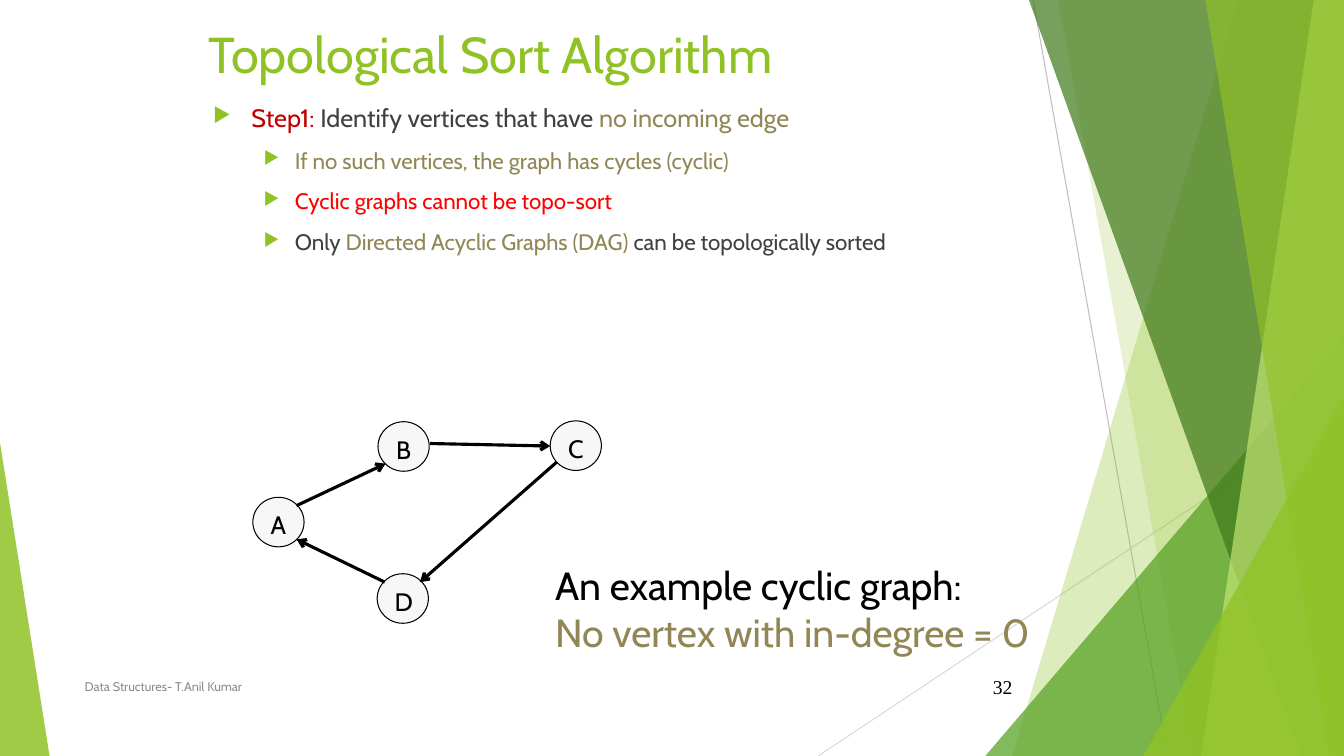
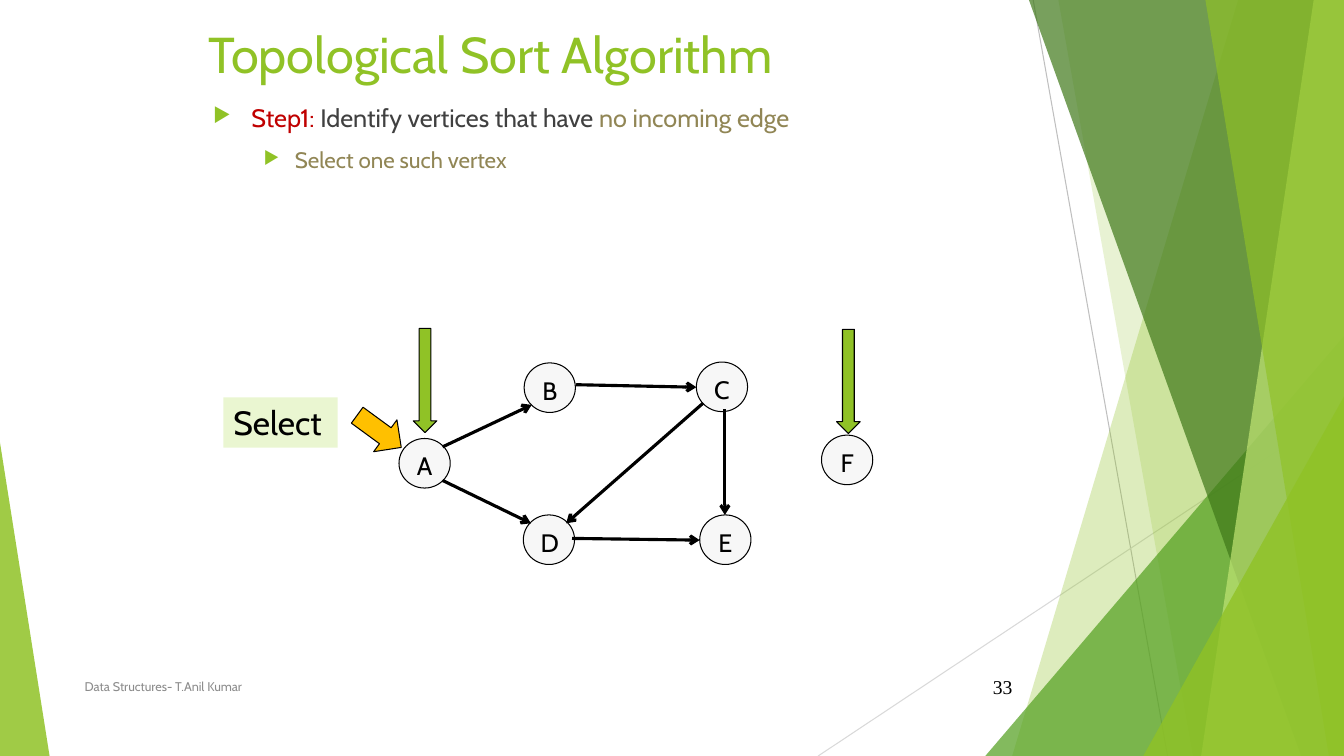
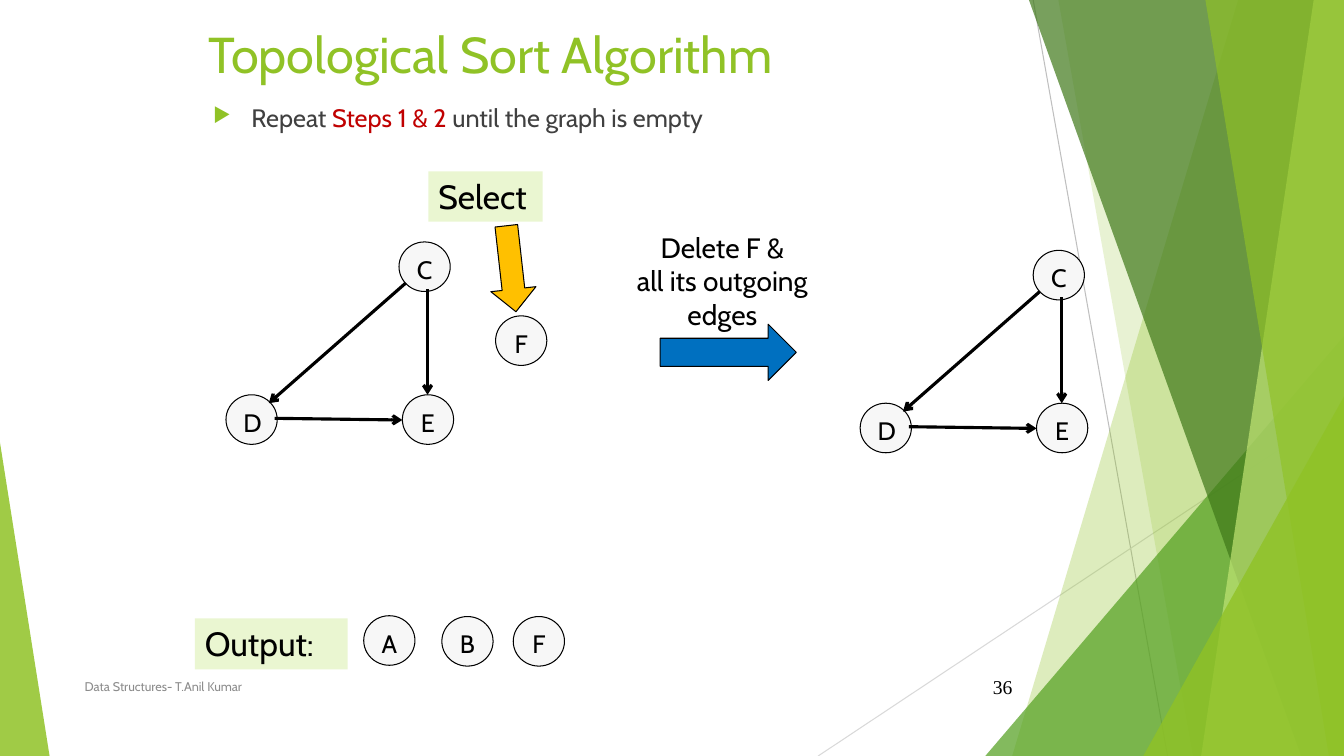
"""Build three slides on topological sorting, on a grid of 16 columns by 9 rows."""
from dataclasses import dataclass
from typing import NamedTuple

from lxml.etree import SubElement
from pptx import Presentation
from pptx.dml.color import RGBColor
from pptx.enum.shapes import MSO_CONNECTOR, MSO_SHAPE as Preset
from pptx.enum.text import MSO_ANCHOR as Anchor, MSO_AUTO_SIZE as AutoSize, PP_ALIGN as Align
from pptx.oxml.ns import qn
from pptx.util import Emu, Inches, Pt

COLUMNS, ROWS = 16, 9
CELL = Inches(7.5) / ROWS

BLACK = RGBColor(0x00, 0x00, 0x00)
CHARCOAL = RGBColor(0x40, 0x40, 0x40)
GREY = RGBColor(0x8C, 0x8C, 0x8C)
SILVER = RGBColor(0xBF, 0xBF, 0xBF)
MIST = RGBColor(0xD9, 0xD9, 0xD9)
SMOKE = RGBColor(0xF7, 0xF7, 0xF7)
GREEN = RGBColor(0x90, 0xC2, 0x26)
LEAF = RGBColor(0x54, 0xA0, 0x21)
FOREST = RGBColor(0x3F, 0x78, 0x19)
LIME = RGBColor(0xC0, 0xE4, 0x74)
PALE = RGBColor(0xEA, 0xF6, 0xD1)
OLIVE = RGBColor(0x91, 0x86, 0x55)
CRIMSON = RGBColor(0xC0, 0x00, 0x00)
RED = RGBColor(0xFF, 0x00, 0x00)
AMBER = RGBColor(0xFF, 0xC0, 0x00)
BLUE = RGBColor(0x00, 0x70, 0xC0)

FONT, NUMBER_FONT = "Cabin", "Times New Roman"
TITLE = "Topological Sort Algorithm"
FOOTER = "Data Structures- T.Anil Kumar"


class Point(NamedTuple):
    x: float
    y: float


class Area(NamedTuple):
    left: float
    top: float
    width: float
    height: float


class Span(NamedTuple):
    text: str
    color: RGBColor


class Facet(NamedTuple):
    top: float
    bottom: float
    color: RGBColor
    opacity: int


class Wedge(NamedTuple):
    area: Area
    tip: float
    color: RGBColor
    opacity: int


class Edge(NamedTuple):
    start: Point
    end: Point


class Node(NamedTuple):
    letter: str
    at: Point


class Graph(NamedTuple):
    origin: Point
    letters: str
    edges: tuple[str, ...]


class Arrow(NamedTuple):
    preset: Preset
    area: Area
    color: RGBColor
    rotation: float = 0


class Bullet(NamedTuple):
    level: int
    spans: tuple[Span, ...]


@dataclass(frozen=True)
class Label:
    area: Area
    lines: tuple[Span, ...]
    size: int
    align: Align = Align.LEFT
    fill: RGBColor | None = None
    anchor: Anchor = Anchor.TOP
    font: str = FONT


@dataclass(frozen=True)
class Content:
    number: int
    body_height: float
    bullets: tuple[Bullet, ...]
    graphs: tuple[Graph, ...]
    nodes: tuple[Node, ...] = ()
    arrows: tuple[Arrow, ...] = ()
    labels: tuple[Label, ...] = ()


TITLE_AREA = Area(2.36, 0.18, 11.45, 0.91)
FOOTER_AREA = Area(0.89, 7.93, 8.27, 0.48)
NUMBER_AREA = Area(11.27, 7.93, 0.9, 0.48)
NODE_WIDTH, NODE_HEIGHT = 0.61, 0.59

RAYS = (
    (Edge(Point(12.3, 0), Point(13.9, ROWS)), SILVER),
    (Edge(Point(COLUMNS, 4.84), Point(9.74, ROWS)), MIST),
)
BACKDROP = (
    Facet(14.74, 12.05, GREEN, 30),
    Facet(12.6, 14.2, GREEN, 20),
    Wedge(Area(11.73, 4, 4.27, 5), 1, LEAF, 72),
    Facet(12.25, 15.49, FOREST, 70),
    Facet(15.64, 14.3, LIME, 70),
    Facet(14.35, 15.82, GREEN, 65),
    Wedge(Area(13.61, 4.72, 2.39, 4.28), 1, GREEN, 80),
    Wedge(Area(0, 5.27, 0.59, 3.73), 0, GREEN, 85),
)

NODE_OFFSETS = {
    "A": Point(0, 0),
    "B": Point(1.49, -0.9),
    "C": Point(3.54, -0.91),
    "D": Point(1.48, 0.91),
    "E": Point(3.58, 0.91),
}
EDGE_OFFSETS = {
    "AB": Edge(Point(0.52, 0.1), Point(1.58, -0.4)),
    "BC": Edge(Point(2.11, -0.64), Point(3.54, -0.61)),
    "AD": Edge(Point(0.52, 0.5), Point(1.57, 1.01)),
    "DA": Edge(Point(1.57, 1.01), Point(0.52, 0.5)),
    "CD": Edge(Point(3.62, -0.42), Point(1.99, 1.01)),
    "CE": Edge(Point(3.88, -0.35), Point(3.88, 0.91)),
    "DE": Edge(Point(2.06, 1.19), Point(3.58, 1.21)),
}
TRIANGLE = ("CDE", ("CE", "DE", "CD"))

STEP_ONE = Bullet(0, (
    Span("Step1: ", CRIMSON),
    Span("Identify vertices that have ", CHARCOAL),
    Span("no incoming edge", OLIVE),
))


def tag(left: float, top: float, width: float, height: float, text: str) -> Label:
    """Describe a pale tag with one large word."""
    return Label(Area(left, top, width, height), (Span(text, BLACK),), 24, fill=PALE)


CONTENTS = (
    Content(
        32, 2.41,
        (
            STEP_ONE,
            Bullet(1, (Span("If no such vertices, the graph has cycles (cyclic)", OLIVE),)),
            Bullet(1, (Span("Cyclic graphs cannot be topo-sort", RED),)),
            Bullet(1, (
                Span("Only ", CHARCOAL),
                Span("Directed Acyclic Graphs (DAG)", OLIVE),
                Span(" can be topologically sorted", CHARCOAL),
            )),
        ),
        (Graph(Point(3.01, 5.92), "ABCD", ("AB", "BC", "DA", "CD")),),
        labels=(Label(
            Area(6.49, 6.62, 6.67, 1.25),
            (Span("An example cyclic graph:", BLACK), Span("No vertex with in-degree = 0", OLIVE)),
            28,
        ),),
    ),
    Content(
        33, 1.99,
        (STEP_ONE, Bullet(1, (Span("Select one such vertex", OLIVE),))),
        (Graph(Point(4.75, 5.22), "ABCDE", ("AB", "BC", "CE", "AD", "DE", "CD")),),
        nodes=(Node("F", Point(9.78, 5.18)),),
        arrows=(
            Arrow(Preset.RIGHT_ARROW, Area(4.19, 4.9, 0.65, 0.47), AMBER, 36.2),
            Arrow(Preset.DOWN_ARROW, Area(4.92, 3.91, 0.28, 1.24), GREEN),
            Arrow(Preset.DOWN_ARROW, Area(9.96, 3.92, 0.28, 1.24), GREEN),
        ),
        labels=(tag(2.66, 4.73, 1.36, 0.6, "Select"),),
    ),
    Content(
        36, 0.96,
        (Bullet(0, (
            Span("Repeat ", CHARCOAL),
            Span("Steps 1 & 2", CRIMSON),
            Span(" until the graph is empty", CHARCOAL),
        )),),
        (Graph(Point(1.21, 3.79), *TRIANGLE), Graph(Point(8.76, 3.89), *TRIANGLE)),
        nodes=(
            Node("F", Point(5.9, 3.76)),
            Node("A", Point(4.33, 7.33)),
            Node("B", Point(5.26, 7.34)),
            Node("F", Point(6.11, 7.34)),
        ),
        arrows=(
            Arrow(Preset.RIGHT_ARROW, Area(5.57, 2.93, 1.03, 0.54), AMBER, 83.6),
            Arrow(Preset.RIGHT_ARROW, Area(7.86, 3.86, 1.62, 0.67), BLUE),
        ),
        labels=(
            tag(5.1, 2.04, 1.36, 0.6, "Select"),
            tag(2.32, 7.36, 1.82, 0.61, "Output:"),
            Label(
                Area(7.28, 2.68, 2.64, 1.33),
                tuple(Span(text, BLACK) for text in ("Delete F &", "all its outgoing", "edges")),
                20, Align.CENTER,
            ),
        ),
    ),
)


def cells(*lengths: float) -> list[Emu]:
    """Turn grid lengths into slide lengths."""
    return [Emu(round(length * CELL)) for length in lengths]


def style_span(span, size: float, color: RGBColor, font: str = FONT) -> None:
    """Format one run."""
    span.font.name = font
    span.font.size = Pt(size)
    span.font.color.rgb = color


def paint(shape, color: RGBColor, outlined: bool = False, opacity: int = 100) -> None:
    """Give a shape its fill, opacity and optional thin outline."""
    shape.shadow.inherit = False
    shape.fill.solid()
    shape.fill.fore_color.rgb = color
    if opacity < 100:
        tint = shape.element.spPr.find(qn("a:solidFill")).find(qn("a:srgbClr"))
        SubElement(tint, qn("a:alpha"), val=str(opacity * 1000))
    if outlined:
        shape.line.color.rgb = BLACK
        shape.line.width = Pt(0.75)
    else:
        shape.line.fill.background()


def draw_line(page, edge: Edge, color: RGBColor, width: float, arrow: bool = False) -> None:
    """Draw a straight line, with an arrowhead at its end if asked."""
    line = page.shapes.add_connector(MSO_CONNECTOR.STRAIGHT, *cells(*edge.start, *edge.end))
    line.line.color.rgb = color
    line.line.width = Pt(width)
    if arrow:
        SubElement(line.element.spPr.find(qn("a:ln")), qn("a:tailEnd"), type="arrow")
    SubElement(line.element.spPr, qn("a:effectLst"))


def draw_facet(page, facet: Facet) -> None:
    """Draw a full-height facet that reaches the right edge."""
    start, *others = [cells(*corner) for corner in (
        (facet.top, 0), (COLUMNS, 0), (COLUMNS, ROWS), (facet.bottom, ROWS))]
    builder = page.shapes.build_freeform(*start)
    builder.add_line_segments(others)
    paint(builder.convert_to_shape(), facet.color, opacity=facet.opacity)


def draw_wedge(page, wedge: Wedge) -> None:
    """Draw a triangle whose tip lies at a share of its width."""
    shape = page.shapes.add_shape(Preset.ISOSCELES_TRIANGLE, *cells(*wedge.area))
    shape.adjustments[0] = wedge.tip
    paint(shape, wedge.color, opacity=wedge.opacity)


def draw_label(page, label: Label) -> None:
    """Draw a text box with one paragraph per line."""
    box = page.shapes.add_textbox(*cells(*label.area))
    if label.fill is not None:
        box.fill.solid()
        box.fill.fore_color.rgb = label.fill
    frame = box.text_frame
    frame.word_wrap = True
    frame.vertical_anchor = label.anchor
    frame.text = "\n".join(line.text for line in label.lines)
    for para, line in zip(frame.paragraphs, label.lines):
        para.alignment = label.align
        style_span(para.runs[0], label.size, line.color, label.font)


def draw_node(page, node: Node) -> None:
    """Draw a lettered vertex."""
    shape = page.shapes.add_shape(Preset.OVAL, *cells(*node.at, NODE_WIDTH, NODE_HEIGHT))
    paint(shape, SMOKE, outlined=True)
    frame = shape.text_frame
    frame.vertical_anchor = Anchor.TOP
    frame.text = node.letter
    frame.paragraphs[0].alignment = Align.CENTER
    style_span(frame.paragraphs[0].runs[0], 18, BLACK)


def draw_graph(page, graph: Graph) -> None:
    """Draw the chosen vertices and edges around an origin."""
    def shift(point: Point) -> Point:
        return Point(graph.origin.x + point.x, graph.origin.y + point.y)

    for letter in graph.letters:
        draw_node(page, Node(letter, shift(NODE_OFFSETS[letter])))
    for name in graph.edges:
        start, end = EDGE_OFFSETS[name]
        draw_line(page, Edge(shift(start), shift(end)), BLACK, 2.25, arrow=True)


def draw_arrow(page, arrow: Arrow) -> None:
    """Draw an outlined block arrow."""
    shape = page.shapes.add_shape(arrow.preset, *cells(*arrow.area))
    shape.rotation = arrow.rotation
    paint(shape, arrow.color, outlined=True)


def add_bullet(para, level: int) -> None:
    """Give a paragraph its indent and green triangle."""
    margin, hanging = ((0.38, 0.38), (0.81, 0.31))[level]
    props = para._p.get_or_add_pPr()
    props.set("marL", str(Inches(margin)))
    props.set("indent", str(-Inches(hanging)))
    SubElement(SubElement(props, qn("a:buClr")), qn("a:srgbClr"), val=str(GREEN))
    SubElement(props, qn("a:buSzPct"), val="80000")
    SubElement(props, qn("a:buChar"), char="▶")


def draw_body(page, bullets: tuple[Bullet, ...], height: float) -> None:
    """Draw the bulleted text under the title."""
    frame = page.shapes.add_textbox(*cells(2.42, 1.16, 11.29, height)).text_frame
    frame.word_wrap = True
    for index, bullet in enumerate(bullets):
        para = frame.add_paragraph() if index else frame.paragraphs[0]
        add_bullet(para, bullet.level)
        para.level = bullet.level
        if index:
            para.space_before = Pt(10)
        for text, color in bullet.spans:
            span = para.add_run()
            span.text = text
            style_span(span, 18 - 2 * bullet.level, color)


def draw_title(page) -> None:
    """Place and format the title placeholder."""
    title = page.shapes.title
    title.left, title.top, title.width, title.height = cells(*TITLE_AREA)
    frame = title.text_frame
    frame.text = TITLE
    frame.auto_size = AutoSize.NONE
    frame.vertical_anchor = Anchor.MIDDLE
    frame.paragraphs[0].alignment = Align.LEFT
    style_span(frame.paragraphs[0].runs[0], 36, GREEN)


def furnish_layout(layout, page) -> None:
    """Draw the backdrop and footer on a page and hand them to its layout."""
    for holder in list(layout.placeholders)[1:]:
        layout.shapes.element.remove(holder.element)
    for edge, color in RAYS:
        draw_line(page, edge, color, 0.75)
    for piece in BACKDROP:
        if isinstance(piece, Facet):
            draw_facet(page, piece)
        else:
            draw_wedge(page, piece)
    draw_label(page, Label(FOOTER_AREA, (Span(FOOTER, GREY),), 9, anchor=Anchor.MIDDLE))
    for shape in list(page.shapes):
        if not shape.is_placeholder:
            layout.shapes.element.append(shape.element)


def draw_page(page, content: Content) -> None:
    """Draw everything that belongs to one slide."""
    draw_title(page)
    draw_body(page, content.bullets, content.body_height)
    draw_label(page, Label(NUMBER_AREA, (Span(str(content.number), BLACK),), 14,
                           Align.RIGHT, anchor=Anchor.MIDDLE, font=NUMBER_FONT))
    for draw, items in ((draw_graph, content.graphs), (draw_node, content.nodes),
                        (draw_arrow, content.arrows), (draw_label, content.labels)):
        for item in items:
            draw(page, item)


def main() -> None:
    """Build and save the deck."""
    deck = Presentation()
    deck.slide_width, deck.slide_height = cells(COLUMNS, ROWS)
    layout = deck.slide_layouts.get_by_name("Title Only")
    pages = [deck.slides.add_slide(layout) for _ in CONTENTS]
    furnish_layout(layout, pages[0])
    for page, content in zip(pages, CONTENTS):
        draw_page(page, content)
    deck.save("out.pptx")


if __name__ == "__main__":
    main()
